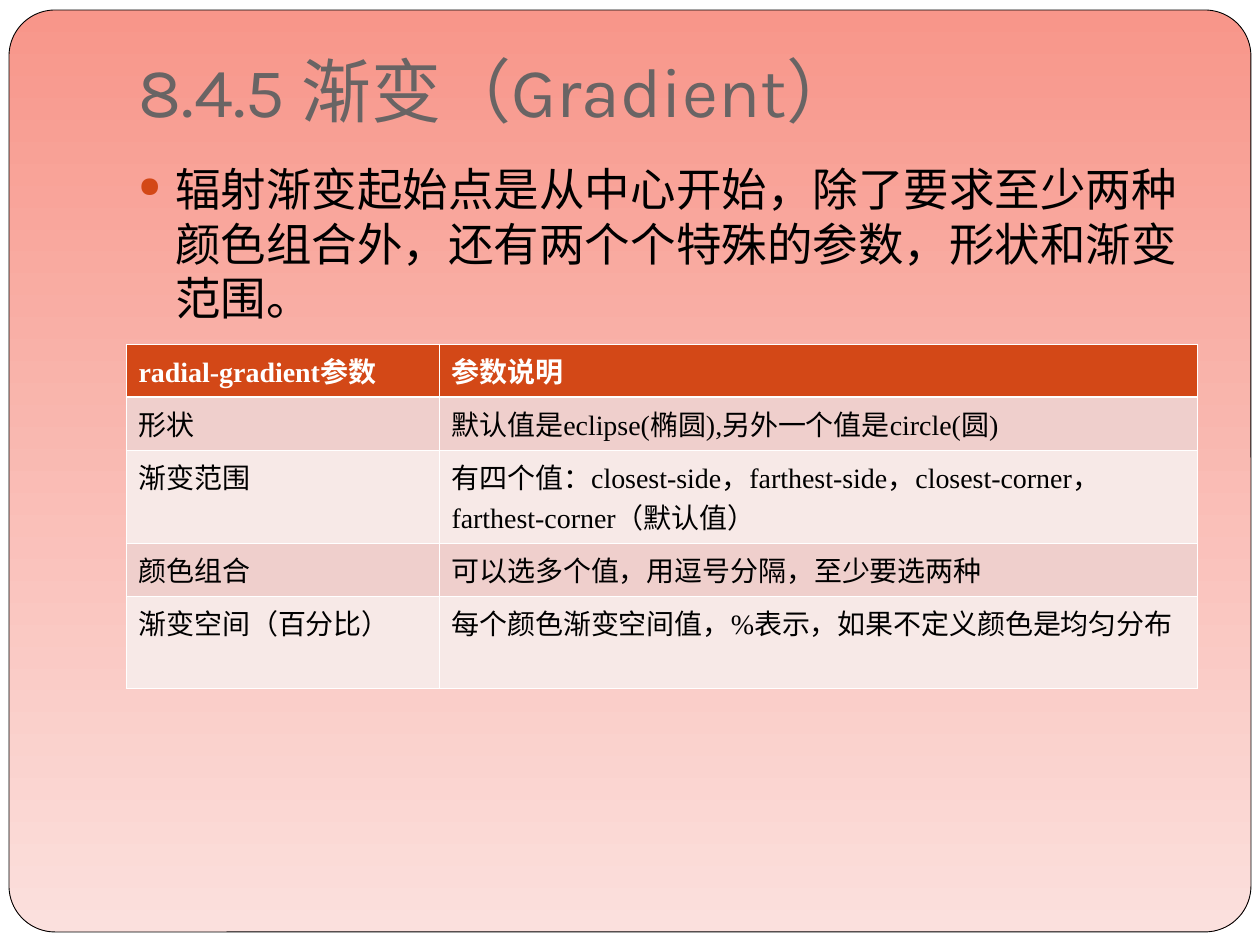
import pptx
import pptx.dml.color
import pptx.enum.shapes
import pptx.enum.text
import pptx.oxml
import pptx.oxml.ns
import pptx.util

RGB = pptx.dml.color.RGBColor
WHITE = RGB(0xFF, 0xFF, 0xFF)
BLACK = RGB(0, 0, 0)
GRAY = RGB(0x69, 0x64, 0x64)
ORANGE = RGB(0xD3, 0x48, 0x17)
CORAL = RGB(0xF8, 0x96, 0x8A)
BLUSH = RGB(0xFB, 0xE0, 0xDD)
BANDS = [RGB(0xEF, 0xCF, 0xCC), RGB(0xF7, 0xE9, 0xE7)]
SCALE = 914400 // 126
THIN, THICK = 0.45, 1.47
ONE_LINE, TWO_LINES = 53, 93

HEADING = "8.4.5 渐变（Gradient）"
POINT = "辐射渐变起始点是从中心开始，除了要求至少两种颜色组合外，还有两个个特殊的参数，形状和渐变范围。"
PARAMETERS = [
    ("radial-gradient参数", "参数说明"),
    ("形状", "默认值是eclipse(椭圆),另外一个值是circle(圆)"),
    ("渐变范围", "有四个值：closest-side，farthest-side，closest-corner，farthest-corner（默认值）"),
    ("颜色组合", "可以选多个值，用逗号分隔，至少要选两种"),
    ("渐变空间（百分比）", "每个颜色渐变空间值，%表示，如果不定义颜色是均匀分布"),
]


def emu(*lengths):
    return [length * SCALE for length in lengths]


def assign(target, values):
    for name, value in values.items():
        setattr(target, name, value)


def add_xml(parent, markup):
    parent.append(pptx.oxml.parse_xml(markup.replace(">", f" {pptx.oxml.ns.nsdecls('a')}>", 1)))


class SlideBuilder:
    """Hold the text style and current slide, and add elements to it."""

    def __init__(self, page):
        self.page = page
        self.family = "Times New Roman"

    def gradient(self, fill):
        fill.gradient()
        fill.gradient_angle = 270
        for stop, color in zip(fill.gradient_stops, (CORAL, BLUSH)):
            stop.color.rgb = color

    def panel(self, kind, bounds):
        shape = self.page.shapes.add_shape(kind, *emu(*bounds))
        shape.shadow.inherit = False
        return shape

    def text(self, para, content, size, color, bold=False, family=None):
        span = para.add_run()
        span.text = content
        values = {"name": family or self.family, "size": pptx.util.Pt(size), "bold": bold}
        assign(span.font, values)
        span.font.color.rgb = color

    def title(self, content, bounds):
        box = self.page.shapes.title
        box._element.getparent().append(box._element)
        assign(box, dict(zip(("left", "top", "width", "height"), emu(*bounds))))
        frame = box.text_frame
        assign(frame, {
            "vertical_anchor": pptx.enum.text.MSO_ANCHOR.BOTTOM,
            "margin_bottom": emu(13)[0],
            "auto_size": pptx.enum.text.MSO_AUTO_SIZE.NONE,
        })
        para = frame.paragraphs[0]
        para.alignment = pptx.enum.text.PP_ALIGN.LEFT
        self.text(para, content, 40, GRAY, family="Karla")

    def bullet(self, content, bounds):
        frame = self.page.shapes.add_textbox(*emu(*bounds)).text_frame
        frame.word_wrap = True
        para = frame.paragraphs[0]
        properties = para._p.get_or_add_pPr()
        indent = emu(37)[0]
        properties.set("marL", str(indent))
        properties.set("indent", str(-indent))
        add_xml(properties, f'<a:buClr><a:srgbClr val="{ORANGE}"/></a:buClr>')
        add_xml(properties, '<a:buSzPct val="63000"></a:buSzPct>')
        add_xml(properties, '<a:buChar char="●"></a:buChar>')
        self.text(para, content, 26, BLACK)

    def border(self, cell, side, weight):
        add_xml(
            cell._tc.get_or_add_tcPr(),
            f'<a:{side} w="{pptx.util.Pt(weight)}"><a:solidFill>'
            f'<a:srgbClr val="{WHITE}"/></a:solidFill></a:{side}>',
        )

    def table(self, rows, corner, widths, heights):
        bounds = (*corner, sum(widths), sum(heights))
        shape = self.page.shapes.add_table(len(rows), len(widths), *emu(*bounds))
        grid = shape.table
        for column, width in zip(grid.columns, emu(*widths)):
            column.width = width
        for row, height in zip(grid.rows, emu(*heights)):
            row.height = height
        for index, contents in enumerate(rows):
            header = index == 0
            weights = {
                "lnL": THIN,
                "lnR": THIN,
                "lnT": THICK if index == 1 else THIN,
                "lnB": THICK if header else THIN,
            }
            for cell, content in zip(grid.rows[index].cells, contents):
                for side, weight in weights.items():
                    self.border(cell, side, weight)
                cell.fill.solid()
                cell.fill.fore_color.rgb = ORANGE if header else BANDS[(index - 1) % 2]
                para = cell.text_frame.paragraphs[0]
                self.text(para, content, 16, WHITE if header else BLACK, header)


def main():
    deck = pptx.Presentation()
    assign(deck, dict(zip(("slide_width", "slide_height"), emu(1260, 945))))
    page = deck.slides.add_slide(deck.slide_layouts[5])
    builder = SlideBuilder(page)
    builder.gradient(page.background.fill)

    kinds = pptx.enum.shapes.MSO_SHAPE
    backdrop = builder.panel(kinds.RECTANGLE, (0, 0, 1260, 945))
    backdrop.fill.solid()
    backdrop.fill.fore_color.rgb = WHITE
    backdrop.line.fill.background()
    card = builder.panel(kinds.ROUNDED_RECTANGLE, (9, 10, 1242, 922))
    card.adjustments[0] = 0.05
    builder.gradient(card.fill)
    card.line.color.rgb = BLACK
    card.line.width = pptx.util.Pt(0.5)

    builder.title(HEADING, (126, 38, 1071, 107))
    builder.bullet(POINT, (126, 155, 1071, 674))
    heights = (ONE_LINE, ONE_LINE, TWO_LINES, ONE_LINE, TWO_LINES)
    builder.table(PARAMETERS, (126, 344), (313, 758), heights)
    deck.save("out.pptx")


if __name__ == "__main__":
    main()
